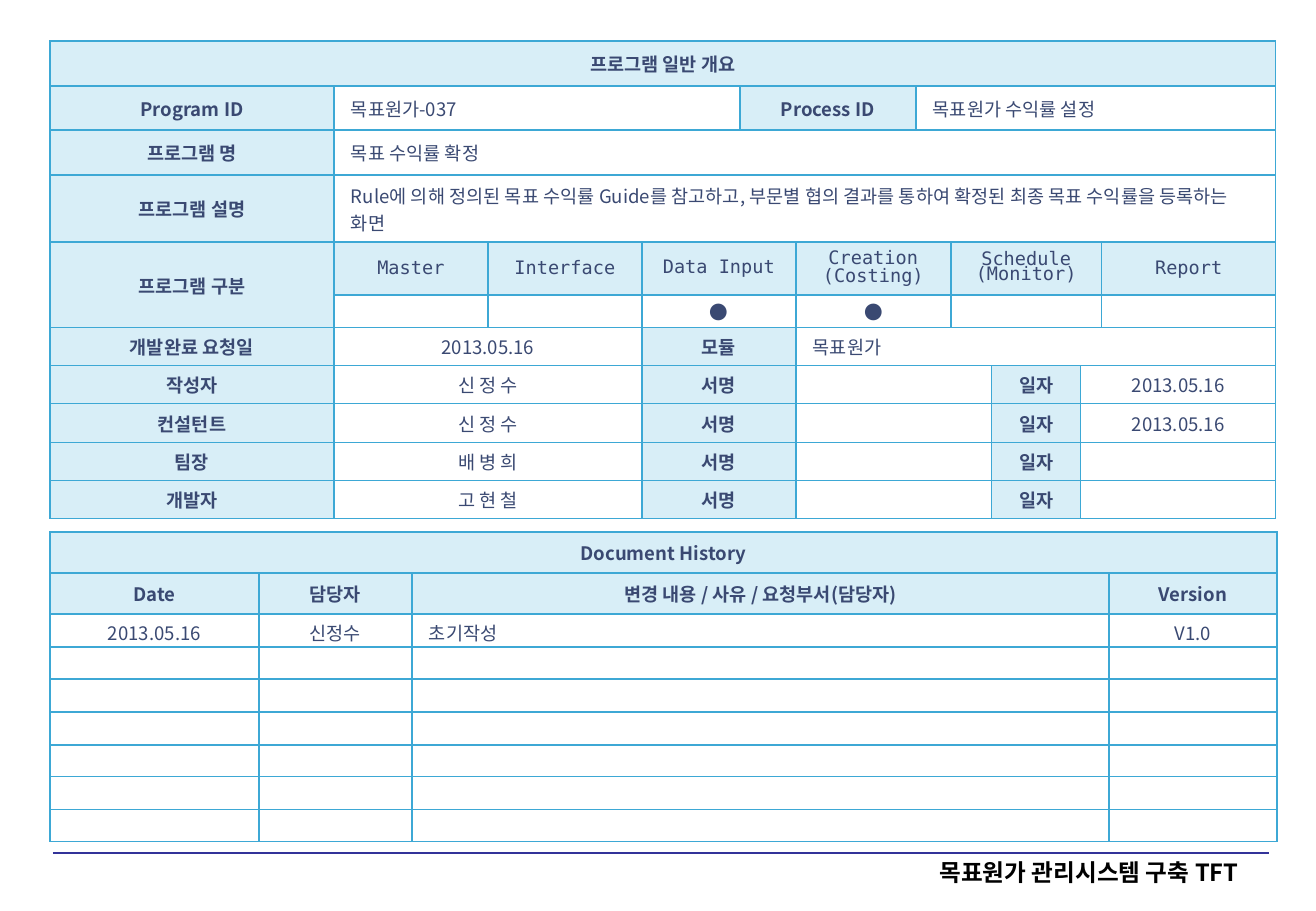
"""Build a program specification cover slide with an overview table and a document history table."""
import pptx
import pptx.dml.color
import pptx.enum.shapes
import pptx.enum.text
import pptx.oxml.ns
import pptx.util
from lxml import etree

PX = 7526
THEME = {
    "font": "Noto Sans CJK KR", "mono": "DejaVu Sans Mono",
    "size": 11, "footer_size": 14,
    "ink": "3A4972", "head": "D8EEF7", "plain": "FFFFFF",
    "border": "3DA8D5", "rule": "333399", "footer": "000000",
}
KINDS = {
    "head": {"bold": True, "fill": "head"},
    "left": {"center": False},
    "mid": {},
    "mono9": {"font": "mono", "fill": "head", "spacing": 0.9},
    "mono8": {"font": "mono", "fill": "head", "spacing": 0.8},
    "mono7": {"font": "mono", "fill": "head", "spacing": 0.7},
}
PEOPLE = [
    ("작성자", "신 정 수", "2013.05.16"),
    ("컨설턴트", "신 정 수", "2013.05.16"),
    ("팀장", "배 병 희", ""),
    ("개발자", "고 현 철", ""),
]
OVERVIEW = {
    "at": (50, 41),
    "cols": [284, 154, 154, 98, 56, 120, 35, 41, 89, 21, 174],
    "heights": [45, 44, 45, 67, 53, 33, 38, 38, 39, 38, 38],
    "pads": {4: (0, 0), 5: (0, 0)},
    "tall": [(4, 0)],
    "rows": [
        [(11, "head", "프로그램 일반 개요")],
        [(1, "head", "Program ID"), (3, "left", "목표원가-037"),
         (2, "head", "Process ID"), (5, "left", "목표원가 수익률 설정")],
        [(1, "head", "프로그램 명"), (10, "left", "목표 수익률 확정")],
        [(1, "head", "프로그램 설명"),
         (10, "left", "Rule에 의해 정의된 목표 수익률 Guide를 참고하고, 부문별 협의 결과를 "
                      "통하여 확정된 최종 목표 수익률을 등록하는 화면")],
        [(1, "head", "프로그램 구분"), (1, "mono9", "Master"), (1, "mono9", "Interface"),
         (2, "mono8", "Data Input"), (2, "mono8", "Creation\n(Costing)"),
         (3, "mono7", "Schedule\n(Monitor)"), (1, "mono9", "Report")],
        [(1, "head", ""), (1, "mid", ""), (1, "mid", ""), (2, "mid", "●"),
         (2, "mid", "●"), (3, "mid", ""), (1, "mid", "")],
        [(1, "head", "개발완료 요청일"), (2, "mid", "2013.05.16"),
         (2, "head", "모듈"), (6, "left", "목표원가")],
    ] + [
        [(1, "head", role), (2, "mid", name), (2, "head", "서명"), (3, "mid", ""),
         (1, "head", "일자"), (2, "mid", date)]
        for role, name, date in PEOPLE
    ],
}
HISTORY = {
    "at": (50, 532),
    "cols": [209, 153, 697, 168],
    "heights": [41, 41, 33, 32, 33, 33, 32, 33, 32],
    "pads": {2: (4, 0)},
    "tall": [],
    "rows": [
        [(4, "head", "Document History")],
        [(1, "head", "Date"), (1, "head", "담당자"),
         (1, "head", "변경 내용 / 사유 / 요청부서(담당자)"), (1, "head", "Version")],
        [(1, "mid", "2013.05.16"), (1, "mid", "신정수"), (1, "left", "초기작성"), (1, "mid", "V1.0")],
    ] + [[(1, "mid", "")] * 4] * 6,
}
FOOTER = "목표원가 관리시스템 구축 TFT"
FOOTER_BOX = (888, 858, 402, 29)
RULE = (53, 853, 1269, 853)


def px(*values):
    return [v * PX for v in values]


def rgb(key):
    return pptx.dml.color.RGBColor.from_string(THEME[key])


def style(p, color, size, bold=False, font="font", center=True, spacing=None):
    align = pptx.enum.text.PP_ALIGN
    p.alignment = align.CENTER if center else align.LEFT
    if spacing:
        p.line_spacing = spacing
    f = p.font
    f.size, f.bold, f.name = pptx.util.Pt(THEME[size]), bold, THEME[font]
    f.color.rgb = rgb(color)
    etree.SubElement(f._element, pptx.oxml.ns.qn("a:ea"), typeface=THEME[font])


def add_borders(cell):
    tc_pr = cell._tc.get_or_add_tcPr()
    for i, side in enumerate(("lnL", "lnR", "lnT", "lnB")):
        ln = etree.Element(pptx.oxml.ns.qn("a:" + side), w=str(pptx.util.Pt(1)))
        fill = etree.SubElement(ln, pptx.oxml.ns.qn("a:solidFill"))
        etree.SubElement(fill, pptx.oxml.ns.qn("a:srgbClr"), val=THEME["border"])
        tc_pr.insert(i, ln)


def fill_cell(cell, text, pads, fill="plain", **look):
    cell.text = text
    cell.vertical_anchor = pptx.enum.text.MSO_ANCHOR.MIDDLE
    cell.margin_left, cell.margin_right = px(17, 17)
    cell.margin_top, cell.margin_bottom = px(*pads)
    cell.fill.solid()
    cell.fill.fore_color.rgb = rgb(fill)
    for p in cell.text_frame.paragraphs:
        style(p, "ink", "size", **look)


def add_grid(s, grid):
    cols, heights = grid["cols"], grid["heights"]
    box = px(*grid["at"], sum(cols), sum(heights))
    table = s.shapes.add_table(len(heights), len(cols), *box).table
    table.first_row = table.horz_banding = False
    for col, width in zip(table.columns, px(*cols)):
        col.width = width
    for row, height in zip(table.rows, px(*heights)):
        row.height = height
    for r, entries in enumerate(grid["rows"]):
        c = 0
        for span, kind, text in entries:
            pads = grid["pads"].get(r, (4, 4)) if text else (0, 0)
            for k in range(c, c + span):
                fill_cell(table.cell(r, k), text if k == c else "",
                          pads if k == c else (0, 0), **KINDS[kind])
                add_borders(table.cell(r, k))
            if span > 1:
                table.cell(r, c).merge(table.cell(r, c + span - 1))
            c += span
    for r, c in grid["tall"]:
        table.cell(r, c).merge(table.cell(r + 1, c))


def add_footer(s):
    line = s.shapes.add_connector(pptx.enum.shapes.MSO_CONNECTOR.STRAIGHT, *px(*RULE))
    line.line.color.rgb, line.line.width = rgb("rule"), pptx.util.Pt(1)
    etree.SubElement(line._element.spPr, pptx.oxml.ns.qn("a:effectLst"))
    tf = s.shapes.add_textbox(*px(*FOOTER_BOX)).text_frame
    tf.word_wrap = True
    tf.margin_left = tf.margin_right = tf.margin_top = tf.margin_bottom = 0
    tf.vertical_anchor = pptx.enum.text.MSO_ANCHOR.MIDDLE
    tf.text = FOOTER
    style(tf.paragraphs[0], "footer", "footer_size", bold=True)


def main():
    prs = pptx.Presentation()
    prs.slide_width, prs.slide_height = px(1316, 911)
    s = prs.slides.add_slide(prs.slide_layouts[6])
    add_footer(s)
    add_grid(s, OVERVIEW)
    add_grid(s, HISTORY)
    prs.save("out.pptx")


if __name__ == "__main__":
    main()
